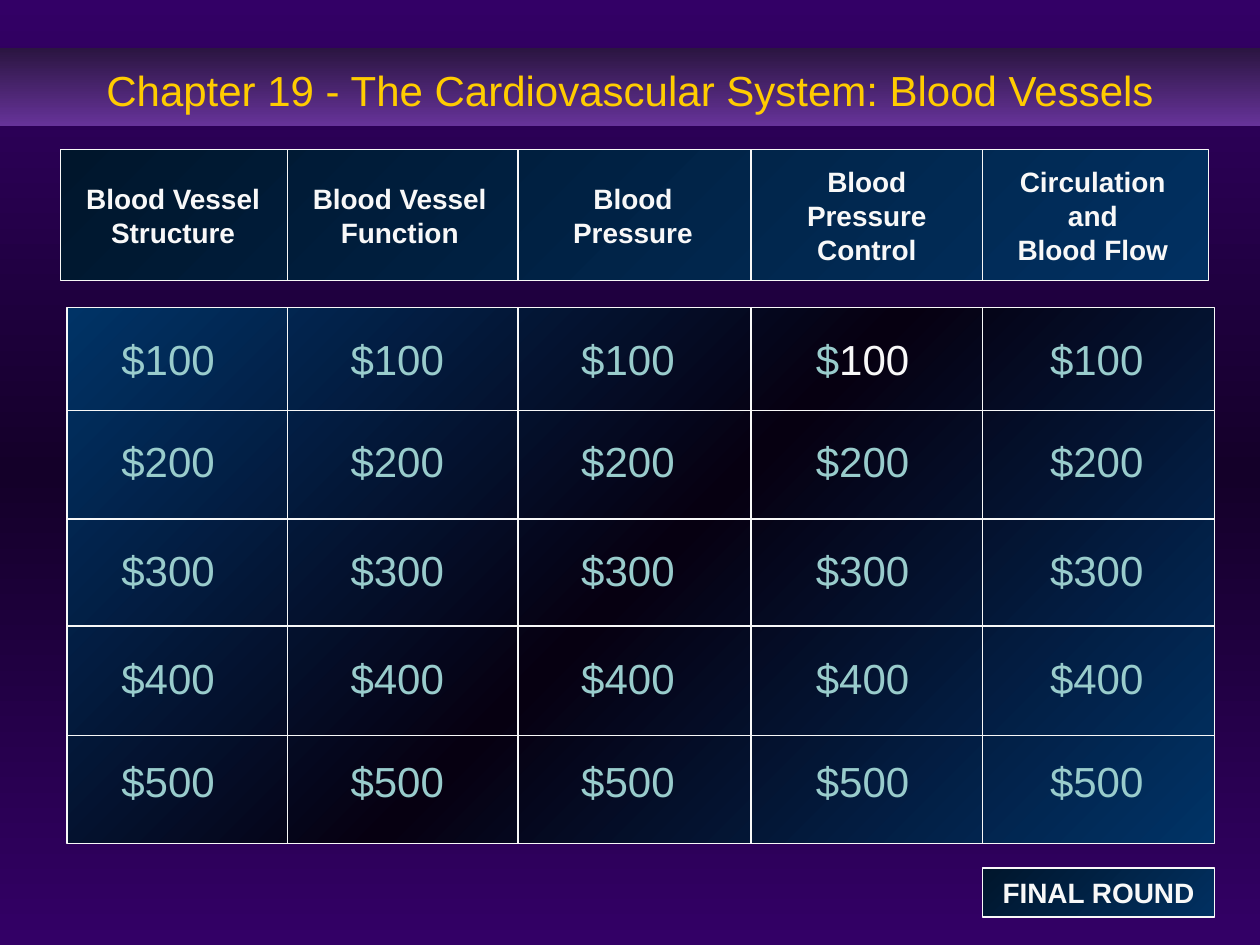
from copy import deepcopy

from lxml import etree
from pptx import Presentation
from pptx import util as u
from pptx.dml.color import RGBColor
from pptx.enum import shapes, text
from pptx.oxml.ns import qn

PURPLE = RGBColor(0x33, 0x00, 0x66)
DARK_PURPLE = RGBColor(0x14, 0x00, 0x29)
BAND_TOP = RGBColor(0x2B, 0x15, 0x41)
BAND_BOTTOM = RGBColor(0x66, 0x33, 0x99)
BLUE = RGBColor(0x00, 0x33, 0x66)
BLACK = RGBColor(0x06, 0x00, 0x11)
PANEL_BLUE = RGBColor(0x01, 0x30, 0x61)
PANEL_DARK = RGBColor(0x00, 0x16, 0x2C)
GOLD = RGBColor(0xFF, 0xCC, 0x00)
TEAL = RGBColor(0x99, 0xCC, 0xCC)
WHITE = RGBColor(0xF8, 0xF8, 0xF8)

BOARD = (1.35, 6.2, 23.14, 10.8)
HEADER = (1.22, 3.02, 23.14, 2.64)
COLUMN_DIVIDERS = (5.79, 10.44, 15.14, 19.81)
ROW_DIVIDERS = (8.28, 10.46, 12.62, 14.83)
HEADINGS = (
    ("Blood Vessel Structure", 1.37, 4.24, 2),
    ("Blood Vessel Function", 5.94, 4.24, 2),
    ("Blood Pressure", 10.64, 4.24, 2),
    ("Blood Pressure Control", 15.47, 4.01, 3),
    ("Circulation and\vBlood Flow", 19.91, 4.24, 3),
)
PRIZE_COLUMNS = ((1.88, 3.02), (6.5, 3.02), (11.15, 3.02), (15.88, 3.02), (20.55, 3.12))
PRIZE_ROWS = (("$100", 6.6), ("$200", 8.66), ("$300", 10.85), ("$400", 13.03), ("$500", 15.11))
HIGHLIGHTED = ("$100", 15.88)


def paint_gradient(fill, owner, colors, clockwise_angle):
    """Fill with evenly spaced gradient stops at a clockwise angle."""
    fill.gradient()
    stop_list = next(owner.iter(qn("a:gsLst")))
    while len(stop_list) < len(colors):
        stop_list.append(deepcopy(stop_list[0]))
    for index, (stop, color) in enumerate(zip(fill.gradient_stops, colors)):
        stop.position = index / (len(colors) - 1)
        stop.color.rgb = color
    fill.gradient_angle = 360 - clockwise_angle


def format_text(frame, size, color, bold=False):
    """Centre the text and give its runs one look."""
    frame.vertical_anchor = text.MSO_ANCHOR.MIDDLE
    for paragraph in frame.paragraphs:
        paragraph.alignment = text.PP_ALIGN.CENTER
        for run in paragraph.runs:
            run.font.name = "Arial"
            run.font.size = u.Pt(size)
            run.font.bold = bold
            run.font.color.rgb = color


def add_panel(slide, bounds, colors):
    """Add an outlined rectangle with a diagonal gradient."""
    panel = slide.shapes.add_shape(shapes.MSO_SHAPE.RECTANGLE, *map(u.Cm, bounds))
    panel.shadow.inherit = False
    paint_gradient(panel.fill, panel._element.spPr, colors, 225)
    panel.line.color.rgb = WHITE
    panel.line.width = u.Pt(0.75)
    return panel


def add_label(slide, wording, bounds, size, color, bold=False):
    """Add a centred, wrapping text box."""
    label = slide.shapes.add_textbox(*map(u.Cm, bounds))
    frame = label.text_frame
    frame.word_wrap = True
    frame.auto_size = text.MSO_AUTO_SIZE.SHAPE_TO_FIT_TEXT
    frame.text = wording
    format_text(frame, size, color, bold)
    return label


def add_divider(slide, *ends):
    """Add a thin straight line between two points."""
    divider = slide.shapes.add_connector(shapes.MSO_CONNECTOR.STRAIGHT, *map(u.Cm, ends))
    divider.line.color.rgb = WHITE
    divider.line.width = u.Pt(0.75)
    etree.SubElement(divider._element.spPr, qn("a:effectLst"))


def add_title(slide):
    """Fill the title placeholder as a full-width band."""
    title = slide.shapes.title
    title.left, title.top, title.width, title.height = map(u.Cm, (0, 0.97, 25.4, 1.57))
    paint_gradient(title.fill, title._element.spPr, (BAND_TOP, BAND_BOTTOM), 90)
    frame = title.text_frame
    frame.text = "Chapter 19 - The Cardiovascular System: Blood Vessels"
    frame.auto_size = text.MSO_AUTO_SIZE.NONE
    frame.paragraphs[0].line_spacing = 1.1
    format_text(frame, 24, GOLD)


def add_headings(slide):
    """Add the category names, centred on one line."""
    for wording, left, width, lines in HEADINGS:
        height = 0.32 + 0.66 * lines
        add_label(slide, wording, (left, 4.34 - height / 2, width, height), 16, WHITE, True)


def add_prizes(slide):
    """Add the grid of dollar values."""
    for left, width in PRIZE_COLUMNS:
        for amount, top in PRIZE_ROWS:
            highlighted = (amount, left) == HIGHLIGHTED
            wording = "$" if highlighted else amount
            prize = add_label(slide, wording, (left, top, width, 1.27), 24, TEAL)
            if highlighted:
                digits = prize.text_frame.paragraphs[0].add_run()
                digits.text = amount[1:]
                digits.font.name = "Arial"
                digits.font.size = u.Pt(24)
                digits.font.color.rgb = WHITE


def add_dividers(slide):
    """Rule the header and the board into cells."""
    for _, top, _, height in (HEADER, BOARD):
        for x in COLUMN_DIVIDERS:
            add_divider(slide, x, top, x, top + height)
    left, _, width, _ = BOARD
    for y in ROW_DIVIDERS:
        add_divider(slide, left, y, left + width, y)


def add_final_round(slide):
    """Add the final round button."""
    button = add_panel(slide, (19.81, 17.5, 4.67, 0.99), (PANEL_BLUE, PANEL_DARK))
    button.text_frame.text = "FINAL ROUND"
    button.text_frame.word_wrap = False
    format_text(button.text_frame, 16, WHITE, True)


def main():
    """Build the quiz board slide."""
    deck = Presentation()
    deck.slide_width, deck.slide_height = u.Cm(25.4), u.Cm(19.05)
    slide = deck.slides.add_slide(deck.slide_layouts[5])
    background = slide.background.fill
    paint_gradient(background, slide._element, (PURPLE, DARK_PURPLE, PURPLE), 90)
    add_title(slide)
    add_panel(slide, BOARD, (BLUE, BLACK, BLUE))
    add_panel(slide, HEADER, (PANEL_BLUE, PANEL_DARK))
    add_prizes(slide)
    add_headings(slide)
    add_dividers(slide)
    add_final_round(slide)
    deck.save("out.pptx")


if __name__ == "__main__":
    main()
